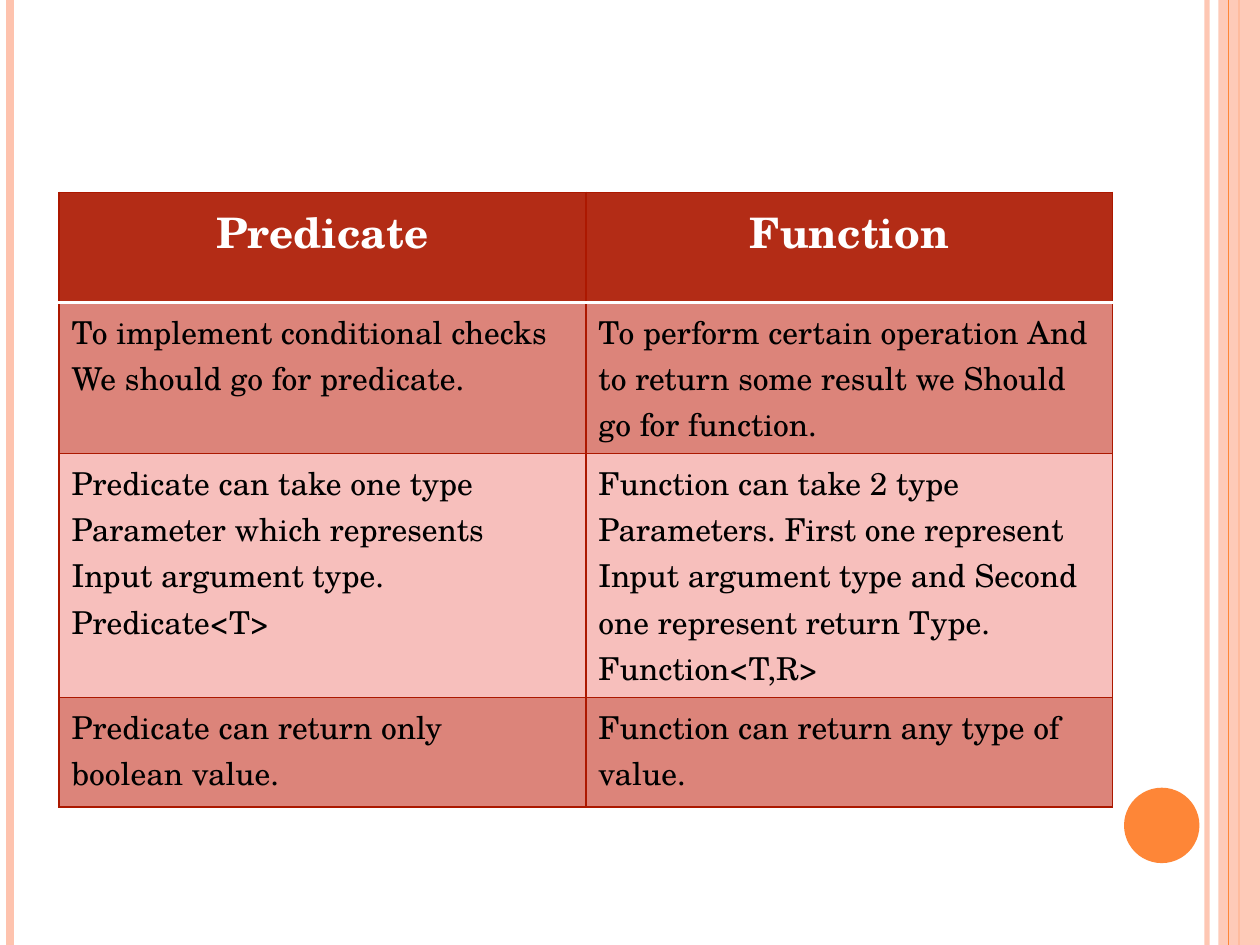
from lxml.etree import SubElement
from pptx import Presentation
from pptx.dml.color import RGBColor
from pptx.enum.shapes import MSO_CONNECTOR as Connector, MSO_SHAPE as Preset
from pptx.enum.text import PP_ALIGN as Align
from pptx.oxml import parse_xml
from pptx.oxml.ns import nsdecls, qn
from pptx.util import Cm, Pt

FONT = "TeX Gyre Schola"
COLORS = {
    "peach": "FEC3AE", "orange": "FE8637", "header": "B32C16",
    "dark_band": "DC847A", "light_band": "F7BFBC",
    "border": "AC1800", "white": "FFFFFF", "black": "000000",
}
ROW_HEIGHTS = [2.21, 3.05, 4.91, 2.21]
ROWS = [
    (["Predicate"], ["Function"]),
    (["To implement conditional checks", "We should go for predicate."],
     ["To perform certain operation And to return some result we Should go for function."]),
    (["Predicate can take one type", "Parameter which represents",
      "Input argument type.", "Predicate<T>"],
     ["Function can take 2 type Parameters. First one represent Input argument type "
      "and Second one represent return Type.", "Function<T,R>"]),
    (["Predicate can return only", "boolean value."],
     ["Function can return any type of value."]),
]


def rgb(name):
    """Return the named colour."""
    return RGBColor.from_string(COLORS[name])


def set_opacity(fill_format, percent):
    """Make a solid fill partly transparent."""
    color = fill_format._xPr.find(qn("a:solidFill"))[0]
    SubElement(color, qn("a:alpha"), val=str(percent * 1000))


def add_stripe(slide, x, width, color, opacity=100):
    """Draw a vertical line over the full slide height."""
    line = slide.shapes.add_connector(Connector.STRAIGHT, Cm(x), Cm(0), Cm(x), Cm(19.05))
    line.line.width = Pt(width)
    line.line.color.rgb = rgb(color)
    SubElement(line._element.spPr, qn("a:effectLst"))
    if opacity < 100:
        set_opacity(line.line.fill, opacity)


def add_block(slide, preset, box, color, opacity=100):
    """Draw a filled shape without outline."""
    shape = slide.shapes.add_shape(preset, *[Cm(value) for value in box])
    shape.shadow.inherit = False
    shape.fill.solid()
    shape.fill.fore_color.rgb = rgb(color)
    shape.line.fill.background()
    if opacity < 100:
        set_opacity(shape.fill, opacity)


def write_text(frame, lines, size=18, color="black", bold=False, align=Align.LEFT):
    """Write one paragraph per line in the given format."""
    for index, line in enumerate(lines):
        paragraph = frame.paragraphs[0] if index == 0 else frame.add_paragraph()
        paragraph.alignment = align
        run = paragraph.add_run()
        run.text = line
        run.font.name = FONT
        run.font.size = Pt(size)
        run.font.bold = bold
        run.font.color.rgb = rgb(color)


def set_borders(cell, **sides):
    """Set the cell borders, with any side given as colour and width."""
    properties = cell._tc.get_or_add_tcPr()
    for index, side in enumerate("LRTB"):
        color, width = sides.get(side, ("border", 1))
        properties.insert(index, parse_xml(
            f'<a:ln{side} {nsdecls("a")} w="{Pt(width)}"><a:solidFill>'
            f'<a:srgbClr val="{COLORS[color]}"/></a:solidFill></a:ln{side}>'))


def add_comparison(slide):
    """Build the table that compares Predicate and Function."""
    frame = slide.shapes.add_table(len(ROWS), 2, Cm(1.19), Cm(3.88), Cm(21.24), Cm(sum(ROW_HEIGHTS)))
    table = frame.table
    rule = ("white", 2)
    for row_index, (texts, height) in enumerate(zip(ROWS, ROW_HEIGHTS)):
        table.rows[row_index].height = Cm(height)
        for column_index, lines in enumerate(texts):
            cell = table.cell(row_index, column_index)
            cell.fill.solid()
            if row_index == 0:
                cell.fill.fore_color.rgb = rgb("header")
                write_text(cell.text_frame, lines, size=24, color="white", bold=True, align=Align.CENTER)
                set_borders(cell, B=rule)
            else:
                cell.fill.fore_color.rgb = rgb("dark_band" if row_index % 2 else "light_band")
                write_text(cell.text_frame, lines)
                set_borders(cell, **({"T": rule} if row_index == 1 else {}))


def main():
    """Build and save the slide."""
    presentation = Presentation()
    presentation.slide_width, presentation.slide_height = Cm(25.4), Cm(19.05)
    slide = presentation.slides.add_slide(presentation.slide_layouts[6])
    add_stripe(slide, 24.33, 3, "peach", opacity=93)
    add_stripe(slide, 0.2, 4.5, "peach")
    add_stripe(slide, 24.98, 1.5, "orange")
    add_block(slide, Preset.RECTANGLE, (24.56, 0, 0.84, 19.05), "peach", opacity=87)
    add_stripe(slide, 24.77, 0.75, "orange")
    add_block(slide, Preset.OVAL, (22.66, 15.88, 1.52, 1.52), "orange")
    add_comparison(slide)
    presentation.save("out.pptx")


if __name__ == "__main__":
    main()
